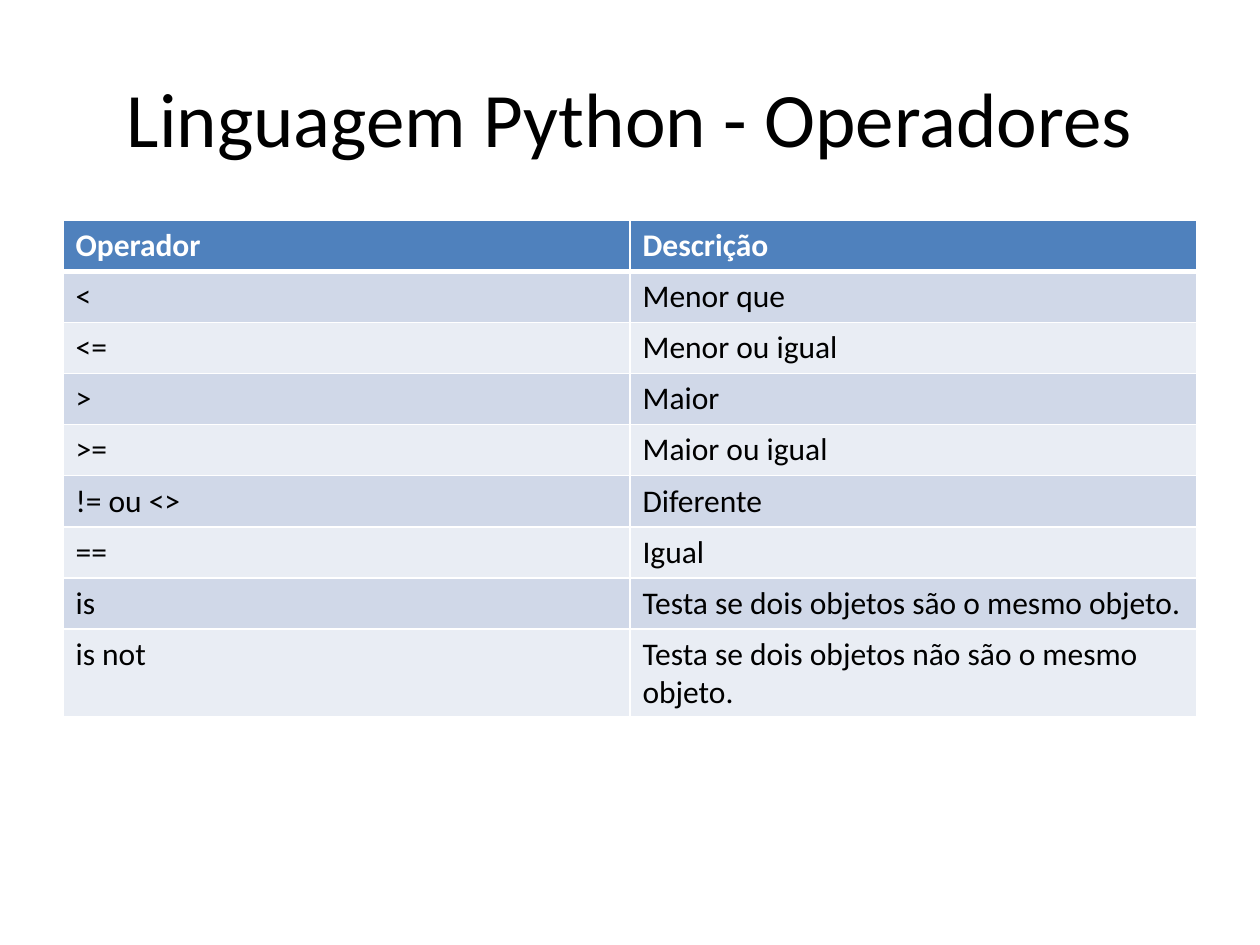
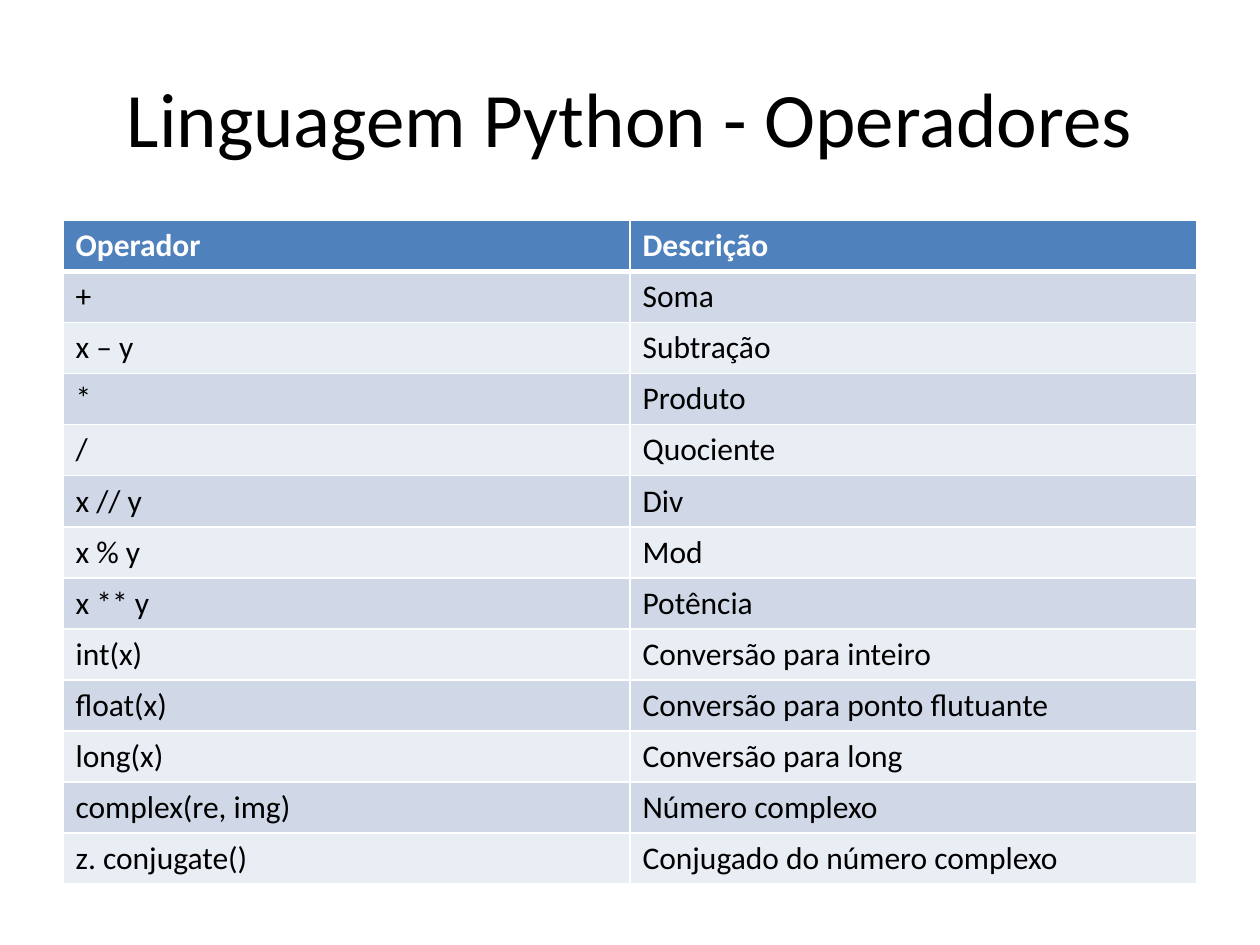
from dataclasses import dataclass

from lxml import etree
from pptx import Presentation
from pptx import util as u
from pptx.dml import color
from pptx.enum import text
from pptx.oxml import ns

TITLE = "Linguagem Python - Operadores"
HEADER = ("Operador", "Descrição")

COMPARISON = [
    ("<", "Menor que"),
    ("<=", "Menor ou igual"),
    (">", "Maior"),
    (">=", "Maior ou igual"),
    ("!= ou <>", "Diferente"),
    ("==", "Igual"),
    ("is", "Testa se dois objetos são o mesmo objeto."),
    ("is not", "Testa se dois objetos não são o mesmo objeto."),
]
ARITHMETIC = [
    ("+", "Soma"),
    ("x – y", "Subtração"),
    ("*", "Produto"),
    ("/", "Quociente"),
    ("x // y", "Div"),
    ("x % y", "Mod"),
    ("x ** y", "Potência"),
    ("int(x)", "Conversão para inteiro"),
    ("float(x)", "Conversão para ponto flutuante"),
    ("long(x)", "Conversão para long"),
    ("complex(re, img)", "Número complexo"),
    ("z. conjugate()", "Conjugado do número complexo"),
]
# Operators and the full table height, wrapped lines included
SLIDES = [(COMPARISON, 3.94), (ARITHMETIC, 5.27)]


@dataclass(frozen=True)
class Theme:
    font: str = "Calibri"
    title_size: int = 44
    cell_size: int = 18
    ink: str = "000000"
    white: str = "FFFFFF"
    header: str = "4F81BD"
    bands: tuple = ("D0D8E8", "E9EDF4")
    rule: int = 1
    header_rule: int = 3


THEME = Theme()
MARGIN, CONTENT_WIDTH = 0.5, 9
TITLE_TOP, TITLE_HEIGHT = 0.3, 1.25
TABLE_TOP = 1.75
ROW_HEIGHT = 5.27 / (len(ARITHMETIC) + 1)


def write(paragraph, words, size, ink, bold=False):
    run = paragraph.add_run()
    run.text = words
    run.font.name = THEME.font
    run.font.size = u.Pt(size)
    run.font.bold = bold
    run.font.color.rgb = color.RGBColor.from_string(ink)


def add_title(slide):
    title = slide.shapes.add_textbox(
        u.Inches(MARGIN), u.Inches(TITLE_TOP),
        u.Inches(CONTENT_WIDTH), u.Inches(TITLE_HEIGHT))
    frame = title.text_frame
    frame.word_wrap = True
    frame.vertical_anchor = text.MSO_ANCHOR.MIDDLE
    paragraph = frame.paragraphs[0]
    paragraph.alignment = text.PP_ALIGN.CENTER
    write(paragraph, TITLE, THEME.title_size, THEME.ink)


def add_borders(cell, row):
    """Rule all four sides, heavier between the header and the body."""
    top = THEME.header_rule if row == 1 else THEME.rule
    bottom = THEME.header_rule if row == 0 else THEME.rule
    widths = {"L": THEME.rule, "R": THEME.rule, "T": top, "B": bottom}
    properties = cell._tc.get_or_add_tcPr()
    for side, width in widths.items():
        line = etree.SubElement(properties, ns.qn(f"a:ln{side}"), w=str(u.Pt(width)))
        fill = etree.SubElement(line, ns.qn("a:solidFill"))
        etree.SubElement(fill, ns.qn("a:srgbClr"), val=THEME.white)


def add_operator_table(slide, operators, height):
    rows = [HEADER] + operators
    frame = slide.shapes.add_table(
        len(rows), len(HEADER), u.Inches(MARGIN), u.Inches(TABLE_TOP),
        u.Inches(CONTENT_WIDTH), u.Inches(ROW_HEIGHT * len(rows)))
    frame.height = u.Inches(height)
    for row, entries in enumerate(rows):
        is_header = row == 0
        background = THEME.header if is_header else THEME.bands[(row - 1) % 2]
        ink = THEME.white if is_header else THEME.ink
        for column, words in enumerate(entries):
            cell = frame.table.cell(row, column)
            add_borders(cell, row)
            cell.fill.solid()
            cell.fill.fore_color.rgb = color.RGBColor.from_string(background)
            write(cell.text_frame.paragraphs[0], words, THEME.cell_size, ink, is_header)


def main():
    deck = Presentation()
    deck.slide_width, deck.slide_height = u.Inches(10), u.Inches(7.5)
    blank = deck.slide_layouts[6]
    for operators, height in SLIDES:
        slide = deck.slides.add_slide(blank)
        add_title(slide)
        add_operator_table(slide, operators, height)
    deck.save("out.pptx")


if __name__ == "__main__":
    main()
